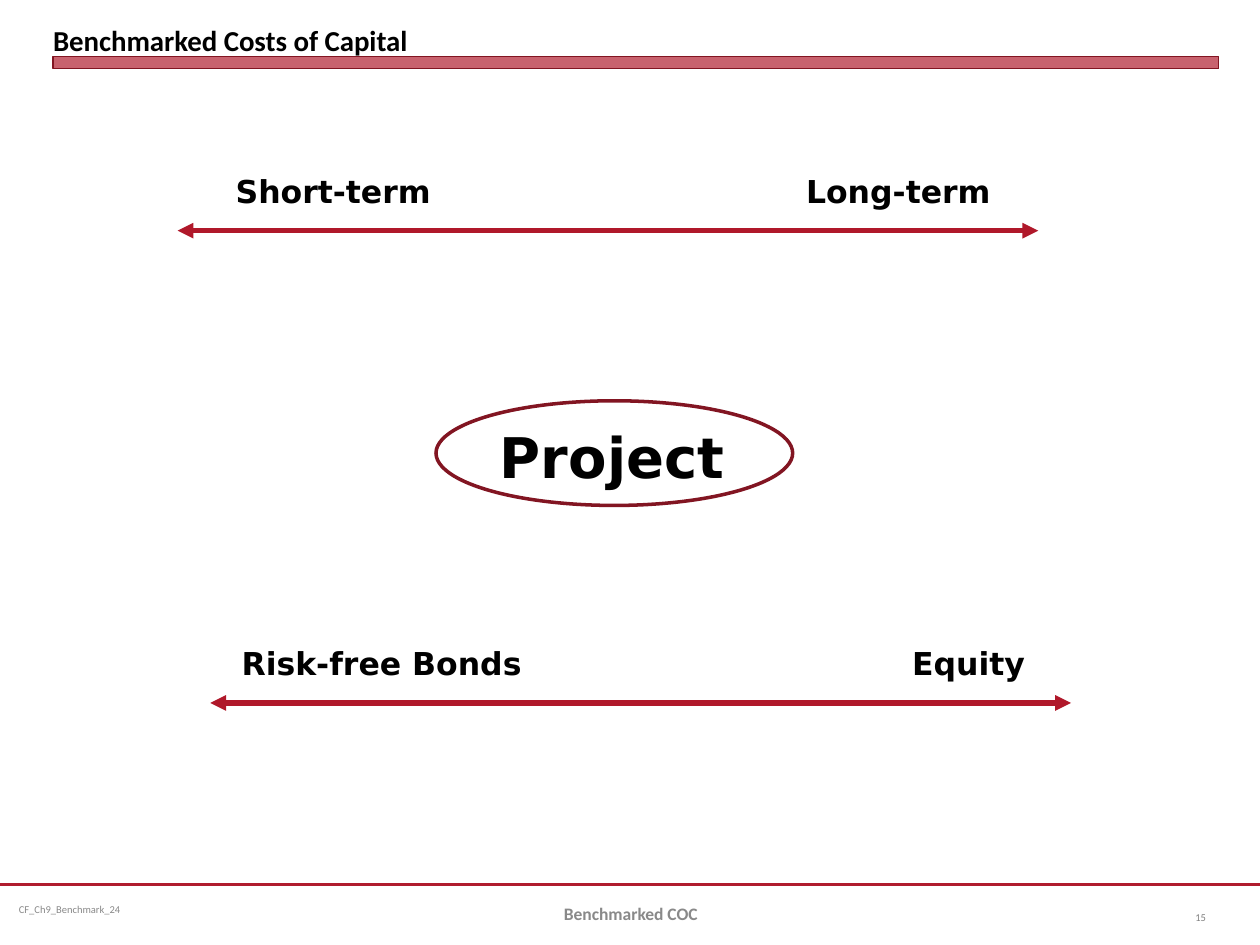
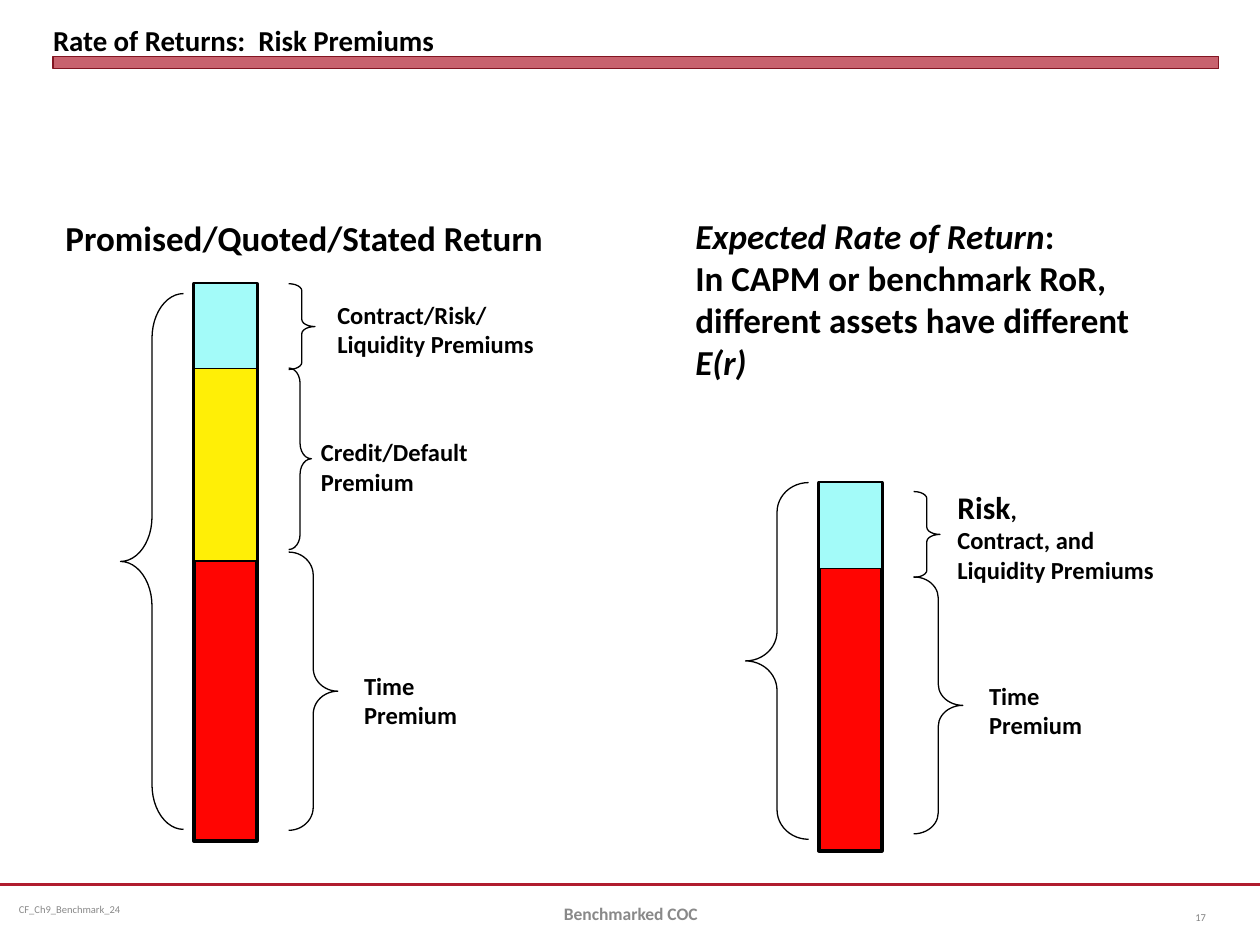
from lxml import etree
from pptx import Presentation
from pptx.dml.color import RGBColor
from pptx.enum.shapes import MSO_CONNECTOR, MSO_SHAPE
from pptx.enum.text import MSO_ANCHOR, MSO_AUTO_SIZE, PP_ALIGN
from pptx.oxml.ns import qn
from pptx.util import Cm, Pt

STRAIGHT = MSO_CONNECTOR.STRAIGHT
RECTANGLE, OVAL = MSO_SHAPE.RECTANGLE, MSO_SHAPE.OVAL
LEFT_BRACE, RIGHT_BRACE = MSO_SHAPE.LEFT_BRACE, MSO_SHAPE.RIGHT_BRACE
TOP, MIDDLE, BOTTOM = MSO_ANCHOR.TOP, MSO_ANCHOR.MIDDLE, MSO_ANCHOR.BOTTOM
LEFT, CENTER, RIGHT = PP_ALIGN.LEFT, PP_ALIGN.CENTER, PP_ALIGN.RIGHT
FIT_SHAPE = MSO_AUTO_SIZE.SHAPE_TO_FIT_TEXT

# Shared style (lengths in centimetres)
SLIDE_WIDTH, SLIDE_HEIGHT = 25.4, 19.05
MARGIN, CONTENT_WIDTH = 1.07, 23.5
FOOTER_TOP, FOOTER_HEIGHT = 17.83, 1.02
BLACK, CRIMSON, DARK_RED, ARROW_RED = "000000", "B01C2E", "821522", "B0182A"
FOOTER_GRAY, NUMBER_GRAY = "898989", "808080"
RED, YELLOW, CYAN = "FF0502", "FFEF06", "A3FBF9"
BODY_FONT, DIAGRAM_FONT = "Calibri", "DejaVu Sans"
FOOTER_FILE, FOOTER_TOPIC = "CF_Ch9_Benchmark_24", "Benchmarked COC"

# Spectrum arrows: left, top, then (label, left, width)
ARROW_LENGTH, LABEL_RISE = 17.35, 1.32
SPECTRUMS = [
    (3.58, 4.65, [("Short-term", 4.5, 4.5), ("Long-term", 16, 4.29)]),
    (4.24, 14.17, [("Risk-free Bonds", 4.62, 6.22), ("Equity", 18.14, 2.79)]),
]

# Return stacks: a framed base bar with upper segments stacked from its top.
# segments: (height, colour); braces: (top, width, height, curve)
# labels: (box, size, paragraphs)
BAR_WIDTH, LEFT_BRACE_OFFSET, RIGHT_BRACE_OFFSET = 1.27, -1.48, 1.91
STACKS = [
    {
        "left": 3.91, "top": 5.72, "height": 11.23,
        "segments": [(1.71, CYAN), (3.88, YELLOW)],
        "total_brace": (5.92, 1.27, 10.8, 0.71),
        "part_braces": [(5.72, 0.53, 1.73, 0.27), (7.42, 0.46, 3.66, 0.67),
                        (11.13, 0.99, 5.61, 0.47)],
        "labels": [
            ((1.07, 4.24, 10.59, 1.12), 20, ["Promised/Quoted/Stated Return"]),
            ((6.55, 5.92, 4.88, 1.45), 14,
             ["Contract/Risk/", "Liquidity Premiums"]),
            ((6.22, 8.69, 3.71, 1.45), 14, ["Credit/Default Premium"]),
            ((7.09, 13.39, 2.69, 1.45), 14, ["Time Premium"]),
        ],
    },
    {
        "left": 16.51, "top": 9.73, "height": 7.42,
        "segments": [(1.73, CYAN)],
        "total_brace": (9.73, 1.27, 7.19, 0.47),
        "part_braces": [(9.91, 0.53, 1.73, 0.27), (11.63, 0.99, 5.18, 0.43)],
        "labels": [
            ((13.77, 4.19, 10.36, 3.68), 20, [
                [("Expected Rate of Return", {"italic": True}), (":", {})],
                [("In CAPM or benchmark RoR, different assets have different", {}),
                 (" E(r)", {"italic": True})],
            ]),
            ((19.05, 9.7, 5.72, 2.24), 14, [
                [("Risk", {"size": Pt(18)}), (",", {})],
                "Contract, and", "Liquidity Premiums",
            ]),
            ((19.69, 13.59, 2.69, 1.45), 14, ["Time Premium"]),
        ],
    },
]


def color(hex_code):
    return RGBColor.from_string(hex_code)


def add_text(slide, box, paragraphs, size, font=BODY_FONT, hex_code=BLACK,
             bold=True, align=LEFT, anchor=TOP, insets=(0.25, 0.13),
             wrap=True, fit=False):
    """Each paragraph is a string or a list of (text, font overrides)."""
    shape = slide.shapes.add_textbox(*map(Cm, box))
    frame = shape.text_frame
    frame.word_wrap = wrap
    frame.vertical_anchor = anchor
    if fit:
        frame.auto_size = FIT_SHAPE
    frame.margin_left = frame.margin_right = Cm(insets[0])
    frame.margin_top = frame.margin_bottom = Cm(insets[1])
    for index, content in enumerate(paragraphs):
        paragraph = frame.add_paragraph() if index else frame.paragraphs[0]
        paragraph.alignment = align
        parts = [(content, {})] if isinstance(content, str) else content
        for text, overrides in parts:
            run = paragraph.add_run()
            run.text = text
            run.font.name, run.font.size, run.font.bold = font, Pt(size), bold
            run.font.color.rgb = color(hex_code)
            for name, value in overrides.items():
                setattr(run.font, name, value)


def add_shape(slide, kind, box, fill=None, line=BLACK, width=0.75, curve=None):
    shape = slide.shapes.add_shape(kind, *map(Cm, box))
    shape.shadow.inherit = False
    if fill:
        shape.fill.solid()
        shape.fill.fore_color.rgb = color(fill)
    else:
        shape.fill.background()
    shape.line.color.rgb = color(line)
    shape.line.width = Pt(width)
    if curve is not None:
        shape.adjustments[0] = curve
    return shape


def add_line(slide, left, top, length, hex_code, width, arrows=False):
    line = slide.shapes.add_connector(
        STRAIGHT, Cm(left), Cm(top), Cm(left + length), Cm(top))
    line.line.color.rgb = color(hex_code)
    line.line.width = Pt(width)
    if arrows:
        outline = line.line._get_or_add_ln()
        for end in ("a:headEnd", "a:tailEnd"):
            etree.SubElement(outline, qn(end), type="triangle")
    etree.SubElement(line._element.spPr, qn("a:effectLst"))


def add_base_slide(presentation, title, number):
    slide = presentation.slides.add_slide(presentation.slide_layouts[6])
    # Title and translucent band
    band = add_shape(slide, RECTANGLE, (MARGIN, 1.14, CONTENT_WIDTH, 0.25),
                     CRIMSON, DARK_RED, 0)
    fill_color = band._element.spPr.find(qn("a:solidFill")).find(qn("a:srgbClr"))
    etree.SubElement(fill_color, qn("a:alpha"), val="69000")
    add_text(slide, (MARGIN, 0.13, CONTENT_WIDTH, 1.02), [title], 16.5,
             anchor=BOTTOM, insets=(0, 0))
    # Footer
    add_line(slide, 0, FOOTER_TOP, SLIDE_WIDTH, CRIMSON, 1.25)
    add_text(slide, (0.2, FOOTER_TOP, 6.55, FOOTER_HEIGHT), [FOOTER_FILE], 6,
             hex_code=FOOTER_GRAY, bold=False, anchor=MIDDLE, insets=(0.18, 0.1))
    add_text(slide, (8.69, 17.91, 8.05, FOOTER_HEIGHT), [FOOTER_TOPIC], 10,
             hex_code=FOOTER_GRAY, align=CENTER, anchor=MIDDLE)
    add_text(slide, (23.29, 17.98, 1.27, FOOTER_HEIGHT), [str(number)], 6,
             hex_code=NUMBER_GRAY, bold=False, align=RIGHT, anchor=MIDDLE)
    return slide


def build_spectrum_slide(presentation):
    slide = add_base_slide(presentation, "Benchmarked Costs of Capital", 15)
    for left, top, labels in SPECTRUMS:
        add_line(slide, left, top, ARROW_LENGTH, ARROW_RED, 3, arrows=True)
        for label, label_left, width in labels:
            add_text(slide, (label_left, top - LABEL_RISE, width, 1.02), [label],
                     18, DIAGRAM_FONT, wrap=False, fit=True)
    # Project in the middle
    add_text(slide, (9.83, 8.38, 5.11, 1.63), ["Project"], 32, DIAGRAM_FONT,
             wrap=False, fit=True)
    add_shape(slide, OVAL, (8.79, 8.08, 7.19, 2.11), line=DARK_RED, width=2)


def add_stack(slide, stack):
    left, top = stack["left"], stack["top"]
    # Bar and its upper segments
    add_shape(slide, RECTANGLE, (left, top, BAR_WIDTH, stack["height"]), RED,
              width=2.25)
    for height, fill in stack["segments"]:
        add_shape(slide, RECTANGLE, (left, top, BAR_WIDTH, height), fill)
        top += height
    # Braces
    braces = [(LEFT_BRACE, LEFT_BRACE_OFFSET, stack["total_brace"])]
    braces += [(RIGHT_BRACE, RIGHT_BRACE_OFFSET, brace)
               for brace in stack["part_braces"]]
    for kind, offset, (brace_top, width, height, curve) in braces:
        add_shape(slide, kind, (left + offset, brace_top, width, height),
                  curve=curve)
    # Heading and premium labels
    for box, size, paragraphs in stack["labels"]:
        add_text(slide, box, paragraphs, size, fit=True)


def main():
    presentation = Presentation()
    presentation.slide_width = Cm(SLIDE_WIDTH)
    presentation.slide_height = Cm(SLIDE_HEIGHT)
    build_spectrum_slide(presentation)
    premium_slide = add_base_slide(
        presentation, "Rate of Returns:  Risk Premiums", 17)
    for stack in STACKS:
        add_stack(premium_slide, stack)
    presentation.save("out.pptx")


if __name__ == "__main__":
    main()
